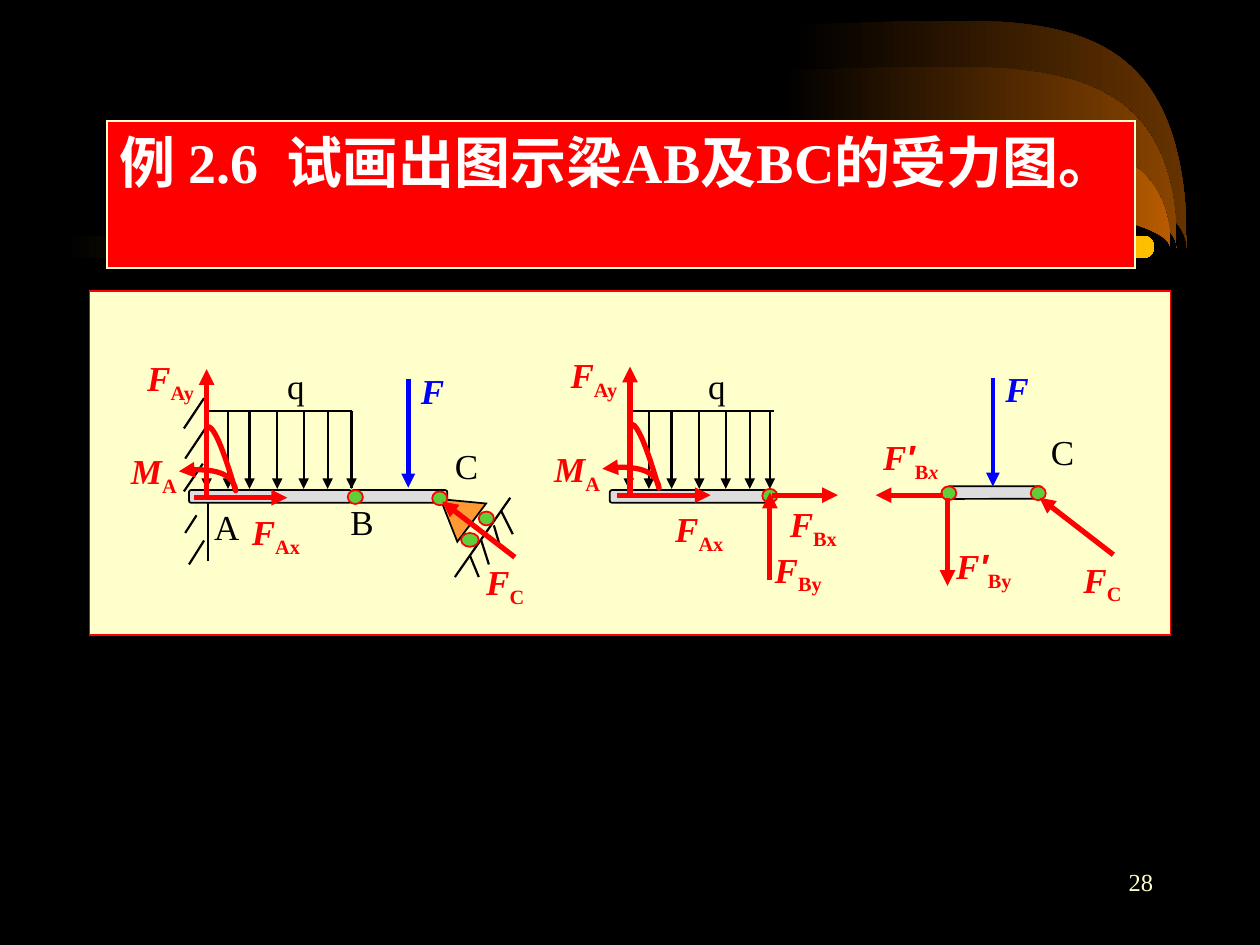
import math
import pptx
import pptx.dml.color
import pptx.enum.shapes
import pptx.enum.text
import pptx.oxml.ns
import pptx.util
import lxml.etree

Inches = pptx.util.Inches
Pt = pptx.util.Pt
SHAPES = pptx.enum.shapes.MSO_SHAPE
BLACK, RED, BLUE, CREAM = "000000", "FF0000", "0000FF", "FFFFCC"
SERIF = "Times New Roman"


def color(value):
    return pptx.dml.color.RGBColor.from_string(value)


def add_element(parent, name, **attributes):
    return lxml.etree.SubElement(parent, pptx.oxml.ns.qn(f"a:{name}"), **attributes)


def set_line(line, value, width):
    line.color.rgb = color(value)
    line.width = Pt(width)
    return line._get_or_add_ln()


def add_line(slide, start, end, value=BLACK, width=1.25, arrow=False, cap="flat"):
    connector = slide.shapes.add_connector(
        pptx.enum.shapes.MSO_CONNECTOR.STRAIGHT,
        *[Inches(number) for number in (*start, *end)])
    outline = set_line(connector.line, value, width)
    outline.set("cap", cap)
    if arrow:
        add_element(outline, "tailEnd", type="triangle")
    add_element(connector._element.spPr, "effectLst")


def add_force(slide, start, end):
    add_line(slide, start, end, RED, 3, True, "sq")


def add_shape(slide, kind, box, fill, line=None, rotation=0):
    shape = slide.shapes.add_shape(kind, *[Inches(number) for number in box])
    shape.shadow.inherit = False
    shape.rotation = rotation
    shape.fill.solid()
    shape.fill.fore_color.rgb = color(fill)
    if line:
        add_element(set_line(shape.line, line, 1), "miter", lim="800000")
    else:
        shape.line.fill.background()
    return shape


def add_beam(slide, left, top, width):
    add_shape(slide, SHAPES.ROUNDED_RECTANGLE, (left, top, width, 0.1), "DDDDDD", BLACK)


def add_hinge(slide, left, top, width=0.12):
    add_shape(slide, SHAPES.OVAL, (left, top, width, 0.11), "5ECF3B", RED)


def set_gradient(shape, end_color):
    shape.fill.gradient()
    shape.fill.gradient_angle = 0
    for stop, value, position in zip(shape.fill.gradient_stops, (BLACK, end_color), (0, 1)):
        stop.color.rgb = color(value)
        stop.position = position


def add_curve(slide, box, start, segments, rotation=0, closed=False):
    left, top, width, height = box
    right, bottom = left + width, top + height
    corners = [(Inches(x), Inches(y)) for x, y in ((right, top), (right, bottom), (left, bottom))]
    builder = slide.shapes.build_freeform(Inches(left), Inches(top))
    builder.add_line_segments(corners)
    shape = builder.convert_to_shape()
    shape.shadow.inherit = False
    shape.rotation = rotation
    outline = next(shape._element.iter(pptx.oxml.ns.qn("a:path")))
    for child in list(outline):
        outline.remove(child)
    cosine, sine = math.cos(math.radians(rotation)), math.sin(math.radians(rotation))
    for name, points in [("moveTo", [start])] + [("cubicBezTo", segment) for segment in segments]:
        command = add_element(outline, name)
        for x, y in points:
            across, down = x - left - width / 2, y - top - height / 2
            local_x = width / 2 + across * cosine + down * sine
            local_y = height / 2 - across * sine + down * cosine
            add_element(command, "pt", x=str(Inches(local_x)), y=str(Inches(local_y)))
    if closed:
        add_element(outline, "close")
    return shape


def add_swoosh(slide, left, low, height, high, bend, peak, end_color):
    middle, right, tip = left + 1.73, left + 3.13, 1.97
    shape = add_curve(slide, (left, low, 3.13, height), (left, low), [
        ((middle, low), (right, bend), (right, tip)),
        ((right, peak), (middle, high), (left, high))], closed=True)
    set_gradient(shape, end_color)
    shape.line.fill.background()


def add_run(paragraph, text, value, size=20, bold=False, italic=False, font=SERIF, subscript=False):
    run = paragraph.add_run()
    run.text = text
    run.font.size = Pt(size)
    run.font.name = font
    run.font.bold = bold
    run.font.italic = italic
    run.font.color.rgb = color(value)
    if subscript:
        run.font._element.set("baseline", "-25000")


def set_frame(shape, margins=(0.1, 0.05), wrap=True):
    frame = shape.text_frame
    frame.word_wrap = wrap
    frame.margin_left = frame.margin_right = Inches(margins[0])
    frame.margin_top = frame.margin_bottom = Inches(margins[1])
    frame.vertical_anchor = pptx.enum.text.MSO_ANCHOR.TOP
    paragraph = frame.paragraphs[0]
    paragraph.alignment = pptx.enum.text.PP_ALIGN.LEFT
    return paragraph


def add_textbox(slide, box, **frame):
    return set_frame(slide.shapes.add_textbox(*[Inches(number) for number in box]), **frame)


def add_point_label(slide, text, left, top, width):
    paragraph = add_textbox(slide, (left, top, width, 0.33), margins=(0, 0), wrap=False)
    add_run(paragraph, text, BLACK)


def add_force_label(slide, left, top, width, symbol, subscript, prime="", axis=""):
    paragraph = add_textbox(slide, (left, top, width, 0.48))
    add_run(paragraph, symbol, RED, bold=True, italic=True)
    if prime:
        add_run(paragraph, prime, RED, bold=True, italic=True, font="Arial")
    add_run(paragraph, subscript, RED, bold=True, subscript=True)
    if axis:
        add_run(paragraph, axis, RED, bold=True, italic=True, subscript=True)


def add_applied_force(slide, x, top):
    paragraph = add_textbox(slide, (x + 0.1, top - 0.08, 0.27, 0.33), margins=(0, 0))
    add_run(paragraph, "F", BLUE, bold=True, italic=True)
    add_line(slide, (x, top), (x, top + 0.86), BLUE, 2.64, True)


def add_distributed_load(slide, arrow_places, right, label_left):
    add_line(slide, (arrow_places[0], 3.26), (right, 3.26))
    for x in arrow_places:
        add_line(slide, (x, 3.27), (x, 3.88), arrow=True)
    add_point_label(slide, "q", label_left, 2.89, 0.14)


def add_fixed_end_reactions(slide, x, y):
    add_force(slide, (x, y), (x, y - 1.02))
    add_force(slide, (x - 0.08, y), (x + 0.64, y))
    moment = add_curve(slide, (x - 0.18, y - 0.25, 0.41, 0.4), (x - 0.22, y - 0.21), [
        ((x + 0.01, y - 0.25), (x + 0.21, y - 0.19), (x + 0.23, y - 0.06)),
        ((x + 0.24, y), (x + 0.08, y - 0.62), (x, y - 0.56))], rotation=169.6)
    moment.fill.background()
    add_element(set_line(moment.line, RED, 3), "headEnd", type="triangle")
    add_force_label(slide, x - 0.57, y - 1.17, 0.63, "F", "Ay")
    add_force_label(slide, x + 0.26, y + 0.05, 0.63, "F", "Ax")
    add_force_label(slide, x - 0.7, y - 0.43, 0.63, "M", "A")


def add_whole_beam(slide):
    for start, end in (
            ((1.65, 3.99), (1.65, 4.45)), ((1.62, 3.16), (1.46, 3.4)),
            ((1.63, 3.4), (1.47, 3.64)), ((1.61, 3.68), (1.46, 3.9)),
            ((1.56, 4.09), (1.47, 4.23)), ((1.62, 4.29), (1.5, 4.48)),
            ((2.79, 3.26), (2.79, 3.87)),
            ((4.05, 3.95), (3.61, 4.58)), ((3.98, 4.06), (4.07, 4.24)),
            ((3.92, 4.17), (3.97, 4.34)), ((3.82, 4.29), (3.88, 4.48)),
            ((3.73, 4.41), (3.8, 4.58))):
        add_line(slide, start, end)
    add_distributed_load(slide, (1.64, 1.81, 1.98, 2.2, 2.41, 2.6, 2.79), 2.79, 2.28)
    add_point_label(slide, "A", 1.7, 4.01, 0.2)
    add_point_label(slide, "B", 2.78, 3.97, 0.19)
    add_point_label(slide, "C", 3.61, 3.53, 0.19)
    add_applied_force(slide, 3.24, 3.01)
    add_beam(slide, 2.79, 3.89, 0.76)
    add_shape(slide, SHAPES.ISOSCELES_TRIANGLE, (3.43, 3.9, 0.38, 0.31), "FF9933", BLACK, 307)
    add_hinge(slide, 3.66, 4.23, 0.14)
    add_hinge(slide, 3.8, 4.06)
    add_hinge(slide, 3.43, 3.9)
    add_beam(slide, 1.5, 3.89, 1.29)
    add_hinge(slide, 2.76, 3.89)


def add_beam_ab(slide):
    add_distributed_load(slide, (4.99, 5.15, 5.33, 5.55, 5.76, 5.95, 6.11), 6.14, 5.62)
    add_beam(slide, 4.84, 3.89, 1.29)
    add_hinge(slide, 6.05, 3.88)
    add_fixed_end_reactions(slide, 5, 3.93)
    add_force(slide, (6.11, 4.58), (6.11, 3.91))
    add_force(slide, (6.15, 3.93), (6.65, 3.93))
    add_force_label(slide, 6.05, 4.3, 0.63, "F", "By")
    add_force_label(slide, 6.17, 3.94, 0.63, "F", "Bx")


def add_whole_beam_reactions(slide):
    add_fixed_end_reactions(slide, 1.64, 3.95)
    add_force(slide, (4.07, 4.41), (3.51, 3.98))
    add_force_label(slide, 3.76, 4.4, 0.53, "F", "C")


def add_beam_bc(slide):
    add_point_label(slide, "C", 8.34, 3.42, 0.19)
    add_beam(slide, 7.52, 3.86, 0.75)
    add_hinge(slide, 8.18, 3.86)
    add_hinge(slide, 7.47, 3.86)
    add_applied_force(slide, 7.88, 3)
    add_force(slide, (7.52, 3.97), (7.52, 4.65))
    add_force(slide, (7.46, 3.93), (6.95, 3.93))
    add_force_label(slide, 7.49, 4.27, 0.78, "F", "By", "′")
    add_force_label(slide, 6.91, 3.41, 0.92, "F", "B", "′", "x")
    add_force(slide, (8.82, 4.39), (8.25, 3.95))
    add_force_label(slide, 8.5, 4.38, 0.53, "F", "C")


def add_backdrop(slide):
    slide.background.fill.solid()
    slide.background.fill.fore_color.rgb = color(BLACK)
    add_swoosh(slide, 6.29, 1.09, 1.75, 0.19, 1.48, -0.2, "663300")
    add_swoosh(slide, 6.21, 1.27, 1.39, 0.55, 1.58, 0.24, "894400")
    add_swoosh(slide, 6.16, 1.51, 0.91, 1.05, 1.72, 0.84, "B75B00")
    bar = add_shape(slide, SHAPES.ROUNDED_RECTANGLE, (0.5, 1.87, 8.66, 0.18), BLACK)
    bar.adjustments[0] = 0.5
    set_gradient(bar, "FFBF00")


def main():
    presentation = pptx.Presentation()
    presentation.slide_width, presentation.slide_height = Inches(10), Inches(7.5)
    slide = presentation.slides.add_slide(presentation.slide_layouts[6])
    add_backdrop(slide)
    number = add_textbox(slide, (7.17, 6.83, 2.08, 0.5))
    number.alignment = pptx.enum.text.PP_ALIGN.RIGHT
    add_run(number, "28", CREAM, size=14)
    title = add_shape(slide, SHAPES.RECTANGLE, (0.85, 0.96, 8.16, 1.17), RED, CREAM)
    add_run(set_frame(title), "例 2.6  试画出图示梁AB及BC的受力图。", "FFFFFF", size=32, bold=True)
    add_shape(slide, SHAPES.RECTANGLE, (0.71, 2.31, 8.58, 2.73), CREAM, RED)
    for add_part in (add_whole_beam, add_beam_ab, add_whole_beam_reactions, add_beam_bc):
        add_part(slide)
    presentation.save("out.pptx")


if __name__ == "__main__":
    main()
